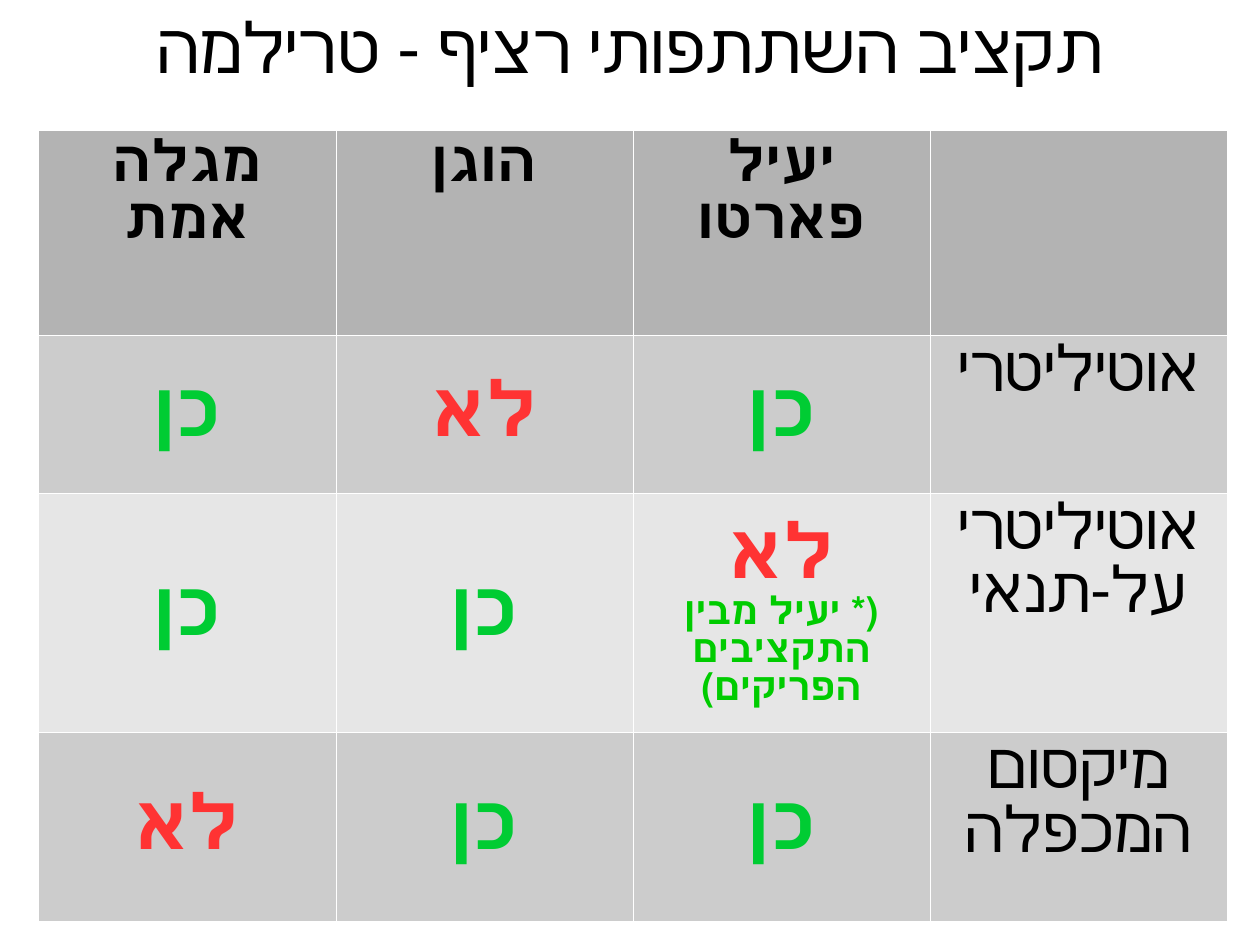
import pptx
import pptx.dml.color
import pptx.enum.text
import pptx.oxml
import pptx.oxml.ns
import pptx.util

Pt = pptx.util.Pt
ANCHOR = pptx.enum.text.MSO_ANCHOR
SLIDE_WIDTH, SLIDE_HEIGHT = 793.7, 595.28
COLORS = {
    "background": "FFFFFF", "border": "FFFFFF", "text": "000000",
    "header": "B3B3B3", "odd": "CCCCCC", "even": "E6E6E6",
    "yes": "00CC33", "no": "FF3333", "note": "00CC00",
}
YES, NO = "כן", "לא"
NOTE = "(* יעיל מבין התקציבים הפריקים)"
CRITERIA = ["מגלה אמת", "הוגן", "יעיל פארטו", ""]
METHODS = [
    ([YES, NO, YES], "אוטיליטרי"),
    ([YES, YES, NO], "אוטיליטרי על-תנאי"),
    ([NO, YES, YES], "מיקסום המכפלה"),
]
NOTED_CELL = (2, 2)
ROW_HEIGHTS = [129, 99.5, 151, 119]


def rgb(name):
    """Return the named colour."""
    return pptx.dml.color.RGBColor.from_string(COLORS[name])


def write(paragraph, text, *, size, color="text", bold=False):
    """Write centred right-to-left text in one paragraph."""
    paragraph.alignment = pptx.enum.text.PP_ALIGN.CENTER
    paragraph._p.get_or_add_pPr().set("rtl", "1")
    run = paragraph.add_run()
    run.text = text
    run.font.name = "Arial"
    run.font.size = Pt(size)
    run.font.bold = bold
    run.font.color.rgb = rgb(color)


def style_cell(cell, fill):
    """Give a cell its fill and thin borders."""
    properties = cell._tc.get_or_add_tcPr()
    for side in ("lnL", "lnR", "lnT", "lnB"):
        properties.append(pptx.oxml.parse_xml(
            f'<a:{side} {pptx.oxml.ns.nsdecls("a")} w="{Pt(0.06)}"><a:solidFill>'
            f'<a:srgbClr val="{COLORS["border"]}"/></a:solidFill></a:{side}>'))
    cell.fill.solid()
    cell.fill.fore_color.rgb = rgb(fill)
    cell.margin_left = cell.margin_right = Pt(7.2)
    cell.margin_top = cell.margin_bottom = Pt(3.6)


def add_title(slide, left, top, width, height):
    """Place the slide title."""
    title = slide.shapes.title
    title.left, title.top, title.width, title.height = map(Pt, (left, top, width, height))
    frame = title.text_frame
    frame.margin_left = frame.margin_right = frame.margin_top = frame.margin_bottom = 0
    frame.vertical_anchor = ANCHOR.MIDDLE
    frame.word_wrap = True
    write(frame.paragraphs[0], "תקציב השתתפותי רציף - טרילמה", size=44)


def add_comparison(slide, left, top, width):
    """Place the table that compares the methods by criterion."""
    frame = slide.shapes.add_table(
        len(METHODS) + 1, len(CRITERIA),
        Pt(left), Pt(top), Pt(width), Pt(sum(ROW_HEIGHTS)))
    table = frame.table
    table.first_row = table.horz_banding = False
    for column in table.columns:
        column.width = Pt(width / len(CRITERIA))
    for row, height in zip(table.rows, ROW_HEIGHTS):
        row.height = Pt(height)

    for column, criterion in enumerate(CRITERIA):
        cell = table.cell(0, column)
        style_cell(cell, "header")
        if criterion:
            write(cell.text_frame.paragraphs[0], criterion, size=36, bold=True)

    for row, (answers, method) in enumerate(METHODS, 1):
        fill = "odd" if row % 2 else "even"
        for column, answer in enumerate(answers):
            cell = table.cell(row, column)
            style_cell(cell, fill)
            cell.vertical_anchor = ANCHOR.MIDDLE
            write(cell.text_frame.paragraphs[0], answer, size=48, bold=True,
                  color="yes" if answer == YES else "no")
        method_cell = table.cell(row, len(answers))
        style_cell(method_cell, fill)
        write(method_cell.text_frame.paragraphs[0], method, size=40)

    noted = table.cell(*NOTED_CELL).text_frame
    write(noted.add_paragraph(), NOTE, size=24, color="note", bold=True)


def main():
    """Build and save the presentation."""
    deck = pptx.Presentation()
    deck.slide_width, deck.slide_height = Pt(SLIDE_WIDTH), Pt(SLIDE_HEIGHT)
    slide = deck.slides.add_slide(deck.slide_layouts[5])
    slide.background.fill.solid()
    slide.background.fill.fore_color.rgb = rgb("background")
    add_title(slide, 0, -7.2, SLIDE_WIDTH, 72)
    add_comparison(slide, 24.2, 82, 748.8)
    deck.save("out.pptx")


if __name__ == "__main__":
    main()
